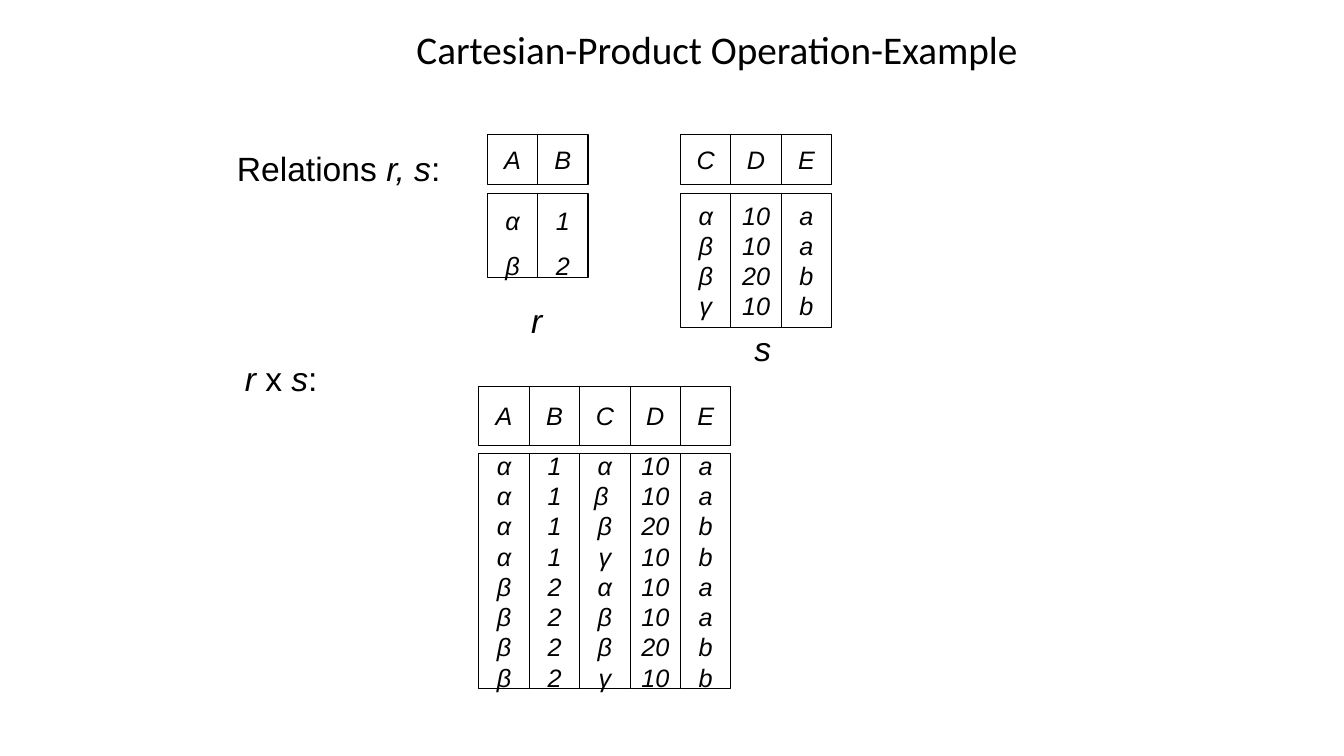
from pptx import Presentation
from pptx.dml.color import RGBColor
from pptx.enum.shapes import MSO_SHAPE
from pptx.enum.text import MSO_ANCHOR, PP_ALIGN
from pptx.util import Cm, Pt

BLACK = RGBColor(0, 0, 0)
WHITE = RGBColor(255, 255, 255)
RECTANGLE = MSO_SHAPE.RECTANGLE
TOP, MIDDLE = MSO_ANCHOR.TOP, MSO_ANCHOR.MIDDLE
LEFT, CENTER = PP_ALIGN.LEFT, PP_ALIGN.CENTER

R_ROWS = [("α", "1"), ("β", "2")]
S_ROWS = [("α", "10", "a"), ("β", "10", "a"), ("β", "20", "b"), ("γ", "10", "b")]
PRODUCT_ROWS = [r_row + s_row for r_row in R_ROWS for s_row in S_ROWS]
PRODUCT_ROWS[1] = ("α", "1", "β ", "10", "a")

# attributes, rows, left, top, header height, body height, line spacing
RELATIONS = [
    ("AB", R_ROWS, 12.28, 3.39, 1.27, 2.12, 1.5),
    ("CDE", S_ROWS, 17.15, 3.39, 1.27, 3.39, 1.0),
    ("ABCDE", PRODUCT_ROWS, 12.07, 9.74, 1.48, 5.93, 1.0),
]
COLUMN_WIDTH = 1.27
HEADER_GAP = 0.21

# runs as (text, italic), box in cm, font, size, alignment, anchor
LABELS = [
    ([("Cartesian-Product Operation-Example", False)],
     (7.4, 0.53, 21.34, 1.4), "Calibri", 28, CENTER, MIDDLE),
    ([("Relations ", False), ("r, s", True), (":", False)],
     (5.72, 3.6, 19.53, 0.91), "Arial", 24, LEFT, TOP),
    ([("r", True), (" x ", False), ("s", True), (":", False)],
     (5.92, 8.89, 19.53, 0.91), "Arial", 24, LEFT, TOP),
    ([("r", True)], (13.13, 7.42, 0.79, 1.27), "Arial", 24, CENTER, MIDDLE),
    ([("s", True)], (18.75, 8.13, 0.94, 1.27), "Arial", 24, CENTER, MIDDLE),
]


def add_label(slide, runs, box, font_name, size, alignment, anchor):
    frame = slide.shapes.add_textbox(*map(Cm, box)).text_frame
    frame.word_wrap = box[2] > 1
    frame.vertical_anchor = anchor
    paragraph = frame.paragraphs[0]
    paragraph.alignment = alignment
    paragraph.font.name = font_name
    paragraph.font.size = Pt(size)
    paragraph.font.color.rgb = BLACK
    for text, italic in runs:
        run = paragraph.add_run()
        run.text = text
        run.font.italic = italic


def add_cell(slide, values, left, top, height, line_spacing=1.0):
    """Draw one bordered box with a centred line for each value."""
    cell = slide.shapes.add_shape(
        RECTANGLE, Cm(left), Cm(top), Cm(COLUMN_WIDTH), Cm(height))
    cell.shadow.inherit = False
    cell.fill.solid()
    cell.fill.fore_color.rgb = WHITE
    cell.line.color.rgb = BLACK
    cell.line.width = Pt(0.75)
    frame = cell.text_frame
    frame.word_wrap = False
    frame.vertical_anchor = MIDDLE
    frame.text = "\n".join(values)
    for paragraph in frame.paragraphs:
        paragraph.alignment = CENTER
        paragraph.line_spacing = line_spacing
        paragraph.font.name = "Arial"
        paragraph.font.size = Pt(18)
        paragraph.font.italic = True
        paragraph.font.color.rgb = BLACK


def add_relation(slide, attributes, rows, left, top, header_height,
                 body_height, line_spacing):
    body_top = top + header_height + HEADER_GAP
    for index, (attribute, values) in enumerate(zip(attributes, zip(*rows))):
        column_left = left + index * COLUMN_WIDTH
        add_cell(slide, [attribute], column_left, top, header_height)
        add_cell(slide, values, column_left, body_top, body_height, line_spacing)


def main():
    presentation = Presentation()
    presentation.slide_width = Cm(33.87)
    presentation.slide_height = Cm(19.05)
    slide = presentation.slides.add_slide(presentation.slide_layouts[6])
    for relation in RELATIONS:
        add_relation(slide, *relation)
    for label in LABELS:
        add_label(slide, *label)
    presentation.save("out.pptx")


if __name__ == "__main__":
    main()
